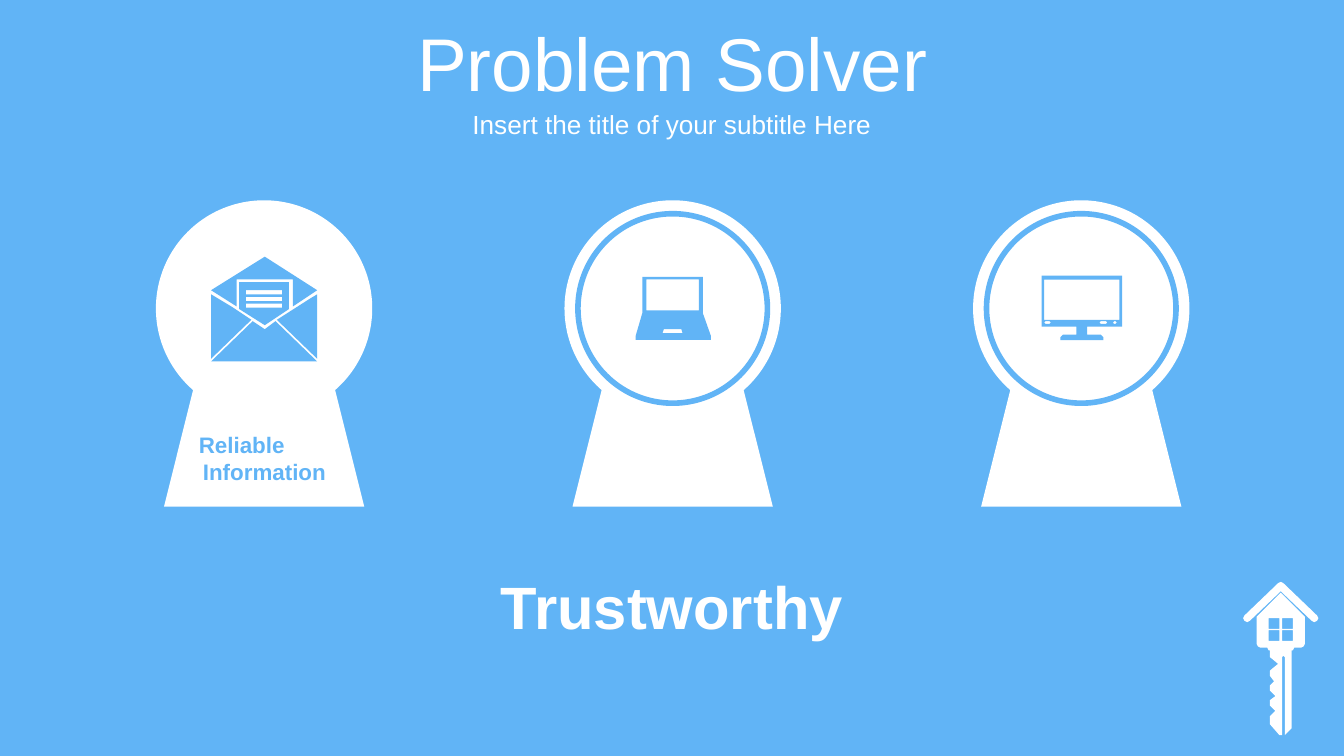
from dataclasses import dataclass
from itertools import product

import pptx
import pptx.dml.color
import pptx.enum.shapes
import pptx.enum.text
import pptx.util
from pptx.util import Inches

SHAPES = pptx.enum.shapes.MSO_SHAPE
ALIGN = pptx.enum.text.PP_ALIGN
ANCHOR = pptx.enum.text.MSO_ANCHOR


@dataclass(frozen=True)
class Theme:
    sky: pptx.dml.color.RGBColor = pptx.dml.color.RGBColor(0x61, 0xB4, 0xF6)
    white: pptx.dml.color.RGBColor = pptx.dml.color.RGBColor(0xFF, 0xFF, 0xFF)
    font: str = "Arial"
    title: int = 40
    keyword: int = 32
    subtitle: int = 14
    label: int = 12
    ring: int = 3


THEME = Theme()


def box(left, top, right, bottom):
    return [(left, top), (right, top), (right, bottom), (left, bottom)]


def pill(left, top, right, bottom):
    """Box with its corners cut, for very small rounded parts."""
    cut, middle = 0.01, (top + bottom) / 2
    return [(left + cut, top), (right - cut, top), (right, middle),
            (right - cut, bottom), (left + cut, bottom), (left, middle)]


def key_outline():
    bit = [(9.45, 4.84), (9.61, 4.84), (9.61, 5.42), (9.56, 5.47),
           (9.56, 4.89), (9.55, 4.88), (9.54, 4.89), (9.54, 5.47),
           (9.52, 5.47), (9.45, 5.39), (9.45, 5.33), (9.49, 5.29),
           (9.45, 5.25), (9.45, 5.21), (9.49, 5.18), (9.45, 5.14),
           (9.45, 5.10), (9.48, 5.07), (9.45, 5.03), (9.45, 4.99),
           (9.51, 4.94), (9.45, 4.89)]
    panes = [box(x, y, x + 0.08, y + 0.08)
             for x, y in product((9.44, 9.54), (4.60, 4.69))]
    house = [(9.53, 4.41), (9.71, 4.59), (9.71, 4.79), (9.70, 4.81),
             (9.68, 4.82), (9.63, 4.82), (9.62, 4.84), (9.44, 4.84),
             (9.43, 4.82), (9.38, 4.82), (9.36, 4.81), (9.35, 4.79),
             (9.35, 4.59)]
    roof = [(9.53, 4.33), (9.55, 4.34), (9.80, 4.58), (9.81, 4.60),
            (9.80, 4.62), (9.78, 4.63), (9.76, 4.62), (9.53, 4.40),
            (9.30, 4.62), (9.28, 4.63), (9.26, 4.62), (9.25, 4.60),
            (9.26, 4.58), (9.51, 4.34)]
    return [bit, *panes, house, roof]


def envelope_outline():
    front = [(1.88, 2.39), (1.97, 2.45), (2.05, 2.39), (2.36, 2.69), (1.57, 2.69)]
    right_fold = [(2.36, 2.19), (2.36, 2.67), (2.06, 2.38), (2.31, 2.22)]
    left_fold = [(1.57, 2.19), (1.72, 2.28), (1.87, 2.38), (1.57, 2.67)]
    letter = [(1.78, 2.10), (2.15, 2.10), (2.15, 2.30), (1.97, 2.42), (1.78, 2.30)]
    flap = [(1.97, 1.91), (2.36, 2.16), (2.18, 2.28), (2.18, 2.08),
            (1.76, 2.08), (1.76, 2.28), (1.57, 2.16)]
    writing = [box(1.83, y, 2.10, y + 0.03) for y in (2.16, 2.21, 2.26)]
    return [front, right_fold, left_fold, letter, flap, *writing]


def laptop_outline():
    touchpad = [(4.94, 2.45), (4.93, 2.48), (5.08, 2.48), (5.07, 2.45)]
    case = [(4.78, 2.06), (5.23, 2.06), (5.23, 2.33), (5.29, 2.50),
            (5.29, 2.53), (4.73, 2.53), (4.73, 2.50), (4.78, 2.33)]
    return [touchpad, box(4.81, 2.08, 5.20, 2.31), case]


def monitor_outline():
    case = [(7.75, 2.05), (8.35, 2.05), (8.35, 2.43), (8.09, 2.43),
            (8.09, 2.49), (8.19, 2.49), (8.21, 2.51), (8.21, 2.53),
            (7.89, 2.53), (7.89, 2.51), (7.91, 2.49), (8.01, 2.49),
            (8.01, 2.43), (7.75, 2.43)]
    buttons = [pill(left, 2.39, right, 2.41)
               for left, right in ((7.77, 7.82), (8.18, 8.24), (8.28, 8.31))]
    return [case, box(7.77, 2.08, 8.33, 2.38), *buttons]


def paint(shape, fill, ring=None):
    shape.shadow.inherit = False
    shape.fill.solid()
    shape.fill.fore_color.rgb = fill
    if ring is None:
        shape.line.fill.background()
    else:
        shape.line.color.rgb = ring
        shape.line.width = pptx.util.Pt(THEME.ring)


def add_icon(slide, contours, color):
    """Draw closed contours as one shape; inner contours become holes."""
    outlines = [[(Inches(x), Inches(y)) for x, y in contour] for contour in contours]
    builder = slide.shapes.build_freeform(*outlines[0][0], scale=1.0)
    for index, outline in enumerate(outlines):
        if index:
            builder.move_to(*outline[0])
        builder.add_line_segments(outline[1:], close=True)
    paint(builder.convert_to_shape(), color)


def add_keyhole(slide, left, ringed):
    keyhole = slide.shapes.add_group_shape()

    def part(preset, x, y, width, height, ring=None):
        shape = keyhole.shapes.add_shape(
            preset, Inches(x), Inches(y), Inches(width), Inches(height))
        paint(shape, THEME.white, ring)

    part(SHAPES.TRAPEZOID, left + 0.06, 2.9, 1.49, 0.87)
    part(SHAPES.OVAL, left, 1.49, 1.61, 1.61)
    if ringed:
        part(SHAPES.OVAL, left + 0.1, 1.59, 1.41, 1.41, THEME.sky)


def write(shape, text, size, color, bold=False, align=ALIGN.CENTER, anchor=ANCHOR.TOP):
    frame = shape.text_frame
    frame.text = text
    frame.word_wrap = True
    frame.auto_size = pptx.enum.text.MSO_AUTO_SIZE.NONE
    frame.vertical_anchor = anchor
    paragraph = frame.paragraphs[0]
    paragraph.alignment = align
    font = paragraph.runs[0].font
    font.name, font.size, font.bold = THEME.font, pptx.util.Pt(size), bold
    font.color.rgb = color


def add_text(slide, left, top, width, height, *args, **kwargs):
    shape = slide.shapes.add_textbox(
        Inches(left), Inches(top), Inches(width), Inches(height))
    write(shape, *args, **kwargs)
    return shape


def add_heading(slide):
    title = slide.shapes.title
    title.left, title.top = Inches(0), Inches(0.14)
    title.width, title.height = Inches(10), Inches(0.63)
    write(title, "Problem Solver", THEME.title, THEME.white, anchor=ANCHOR.MIDDLE)
    add_text(slide, 0, 0.77, 10, 0.31, "Insert the title of your subtitle Here",
             THEME.subtitle, THEME.white, anchor=ANCHOR.MIDDLE)


def add_keyhole_label(slide):
    """Wrapped label whose second line hangs slightly to the right."""
    label = add_text(slide, 1.35, 3.16, 1.24, 0.5, "Reliable Information",
                     THEME.label, THEME.sky, bold=True, align=ALIGN.LEFT)
    label.text_frame.margin_left = Inches(0.13)
    hanging = str(Inches(0.03))
    properties = label.text_frame.paragraphs[0]._p.get_or_add_pPr()
    properties.set("marL", hanging)
    properties.set("indent", "-" + hanging)


def main():
    deck = pptx.Presentation()
    deck.slide_width, deck.slide_height = Inches(10), Inches(10 * 9 / 16)
    slide = deck.slides.add_slide(deck.slide_layouts.get_by_name("Title Only"))
    slide.background.fill.solid()
    slide.background.fill.fore_color.rgb = THEME.sky

    add_icon(slide, key_outline(), THEME.white)
    add_heading(slide)
    icons = (envelope_outline(), laptop_outline(), monitor_outline())
    for index, icon in enumerate(icons):
        add_keyhole(slide, 1.16 + index * 3.04, ringed=index > 0)
        add_icon(slide, icon, THEME.sky)
    add_keyhole_label(slide)
    add_text(slide, 3.61, 4.19, 2.78, 0.64, "Trustworthy",
             THEME.keyword, THEME.white, bold=True)
    deck.save("out.pptx")


if __name__ == "__main__":
    main()
